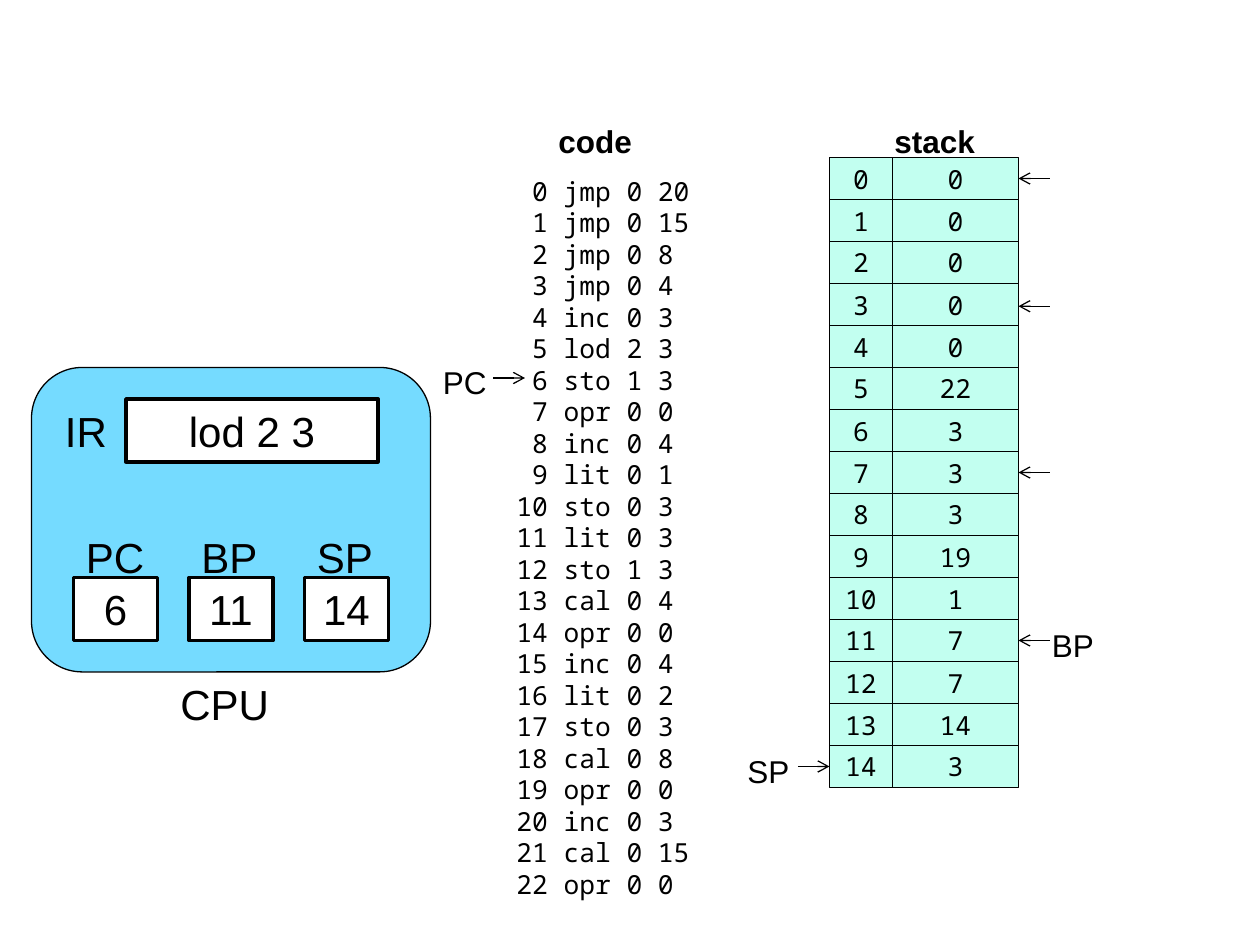
from dataclasses import dataclass

from lxml import etree
from pptx import Presentation
from pptx.dml.color import RGBColor
from pptx.enum.shapes import MSO_CONNECTOR, MSO_SHAPE
from pptx.enum.text import MSO_ANCHOR, MSO_AUTO_SIZE, PP_ALIGN
from pptx.oxml.ns import qn
from pptx.util import Pt

RECT = MSO_SHAPE.RECTANGLE
ROUND_RECT = MSO_SHAPE.ROUNDED_RECTANGLE
STRAIGHT = MSO_CONNECTOR.STRAIGHT
TOP, MIDDLE = MSO_ANCHOR.TOP, MSO_ANCHOR.MIDDLE
GROW = MSO_AUTO_SIZE.SHAPE_TO_FIT_TEXT
LEFT, CENTER = PP_ALIGN.LEFT, PP_ALIGN.CENTER

CODE = [
    "jmp 0 20", "jmp 0 15", "jmp 0 8", "jmp 0 4", "inc 0 3", "lod 2 3",
    "sto 1 3", "opr 0 0", "inc 0 4", "lit 0 1", "sto 0 3", "lit 0 3",
    "sto 1 3", "cal 0 4", "opr 0 0", "inc 0 4", "lit 0 2", "sto 0 3",
    "cal 0 8", "opr 0 0", "inc 0 3", "cal 0 15", "opr 0 0",
]
STACK = [0, 0, 0, 0, 0, 22, 3, 3, 3, 19, 1, 7, 7, 14, 3]
REGISTERS = [("PC", 6), ("BP", 11), ("SP", 14)]


@dataclass(frozen=True)
class Theme:
    ink: str = "000000"
    paper: str = "FFFFFF"
    cpu: str = "75DBFF"
    stack: str = "C2FFF0"
    sans: str = "Arial"
    mono: str = "Noto Sans Mono"
    large: float = 24
    medium: float = 18
    small: float = 15
    thin: float = 0.75
    thick: float = 2


THEME = Theme()


def write(tf, text, size=THEME.large, font=THEME.sans, bold=False,
          align=LEFT, anchor=TOP, spacing=None):
    tf.vertical_anchor = anchor
    for i, line in enumerate(text.split("\n")):
        p = tf.add_paragraph() if i else tf.paragraphs[0]
        p.alignment = align
        if spacing:
            p.line_spacing = Pt(spacing)
        r = p.add_run()
        r.text = line
        r.font.size = Pt(size)
        r.font.name = font
        r.font.bold = bold
        r.font.color.rgb = RGBColor.from_string(THEME.ink)


class Board:
    def __init__(self, slide, theme):
        self.s = slide
        self.theme = theme

    def group(self):
        return self.s.shapes.add_group_shape().shapes

    def box(self, x, y, w, h, fill, text="", kind=RECT, weight=THEME.thin,
            on=None, **fmt):
        sp = (on or self.s.shapes).add_shape(kind, Pt(x), Pt(y), Pt(w), Pt(h))
        sp.shadow.inherit = False
        sp.fill.solid()
        sp.fill.fore_color.rgb = RGBColor.from_string(fill)
        sp.line.color.rgb = RGBColor.from_string(self.theme.ink)
        sp.line.width = Pt(weight)
        if text:
            write(sp.text_frame, text, align=CENTER, anchor=MIDDLE, **fmt)

    def label(self, x, y, w, h, text, wrap=True, on=None, **fmt):
        sp = (on or self.s.shapes).add_textbox(Pt(x), Pt(y), Pt(w), Pt(h))
        tf = sp.text_frame
        tf.word_wrap = wrap
        tf.auto_size = GROW
        write(tf, text, **fmt)

    def heading(self, x, text):
        self.label(x, 66, 72, 29, text, size=self.theme.medium, bold=True)

    def arrow(self, x1, x2, y, on=None):
        cx = (on or self.s.shapes).add_connector(
            STRAIGHT, Pt(x1), Pt(y), Pt(x2), Pt(y))
        cx.line.color.rgb = RGBColor.from_string(self.theme.ink)
        cx.line.width = Pt(self.theme.thin)
        ln = cx.line._get_or_add_ln()
        etree.SubElement(ln, qn("a:tailEnd"), type="arrow")
        etree.SubElement(cx._element.spPr, qn("a:effectLst"))

    def pointer(self, text, text_x, x1, x2, y):
        g = self.group()
        self.arrow(x1, x2, y, on=g)
        self.label(text_x, y - 12, 48, 29, text, on=g, size=self.theme.medium)

    def stack_row(self, x, y, h, index, value):
        g = self.group()
        for left, w, number in ((x + 36, 72, value), (x, 36, index)):
            self.box(left, y, w, h, self.theme.stack, str(number), on=g,
                     size=self.theme.small, font=self.theme.mono)


def draw_code(board):
    t = board.theme
    listing = "\n".join(f"{i:>2} {op}" for i, op in enumerate(CODE))
    board.label(288, 96.5, 168, 443.5, listing,
                size=t.small, font=t.mono, spacing=18)
    board.heading(312, "code")
    board.pointer("PC", 246, 282, 300, 216)


def draw_cpu(board):
    t = board.theme
    board.box(18, 210, 228, 174, t.cpu, kind=ROUND_RECT)
    board.box(72, 228, 144, 36, t.paper, "lod 2 3", weight=t.thick)
    for i, (name, value) in enumerate(REGISTERS):
        x = 42 + 66 * i
        board.box(x, 330, 48, 36, t.paper, str(value), weight=t.thick)
        board.label(x, 300, 60, 36, name)
    board.label(30, 228, 60, 36, "IR")
    board.label(96, 384, 66, 36, "CPU")


def draw_stack(board):
    x, top, row_h, right = 474, 90, 24, 582
    board.heading(504, "stack")
    board.pointer("SP", 420, x - 18, x, 438)
    board.pointer("BP", 594, right + 18, right, 366)
    for i, value in enumerate(STACK):
        board.stack_row(x, top + row_h * i, row_h, i, value)
    for y in (102, 175, 270):
        board.arrow(right + 18, right, y)


def main():
    prs = Presentation()
    prs.slide_width, prs.slide_height = Pt(720), Pt(540)
    board = Board(prs.slides.add_slide(prs.slide_layouts[6]), THEME)
    draw_code(board)
    draw_cpu(board)
    draw_stack(board)
    prs.save("out.pptx")


if __name__ == "__main__":
    main()
